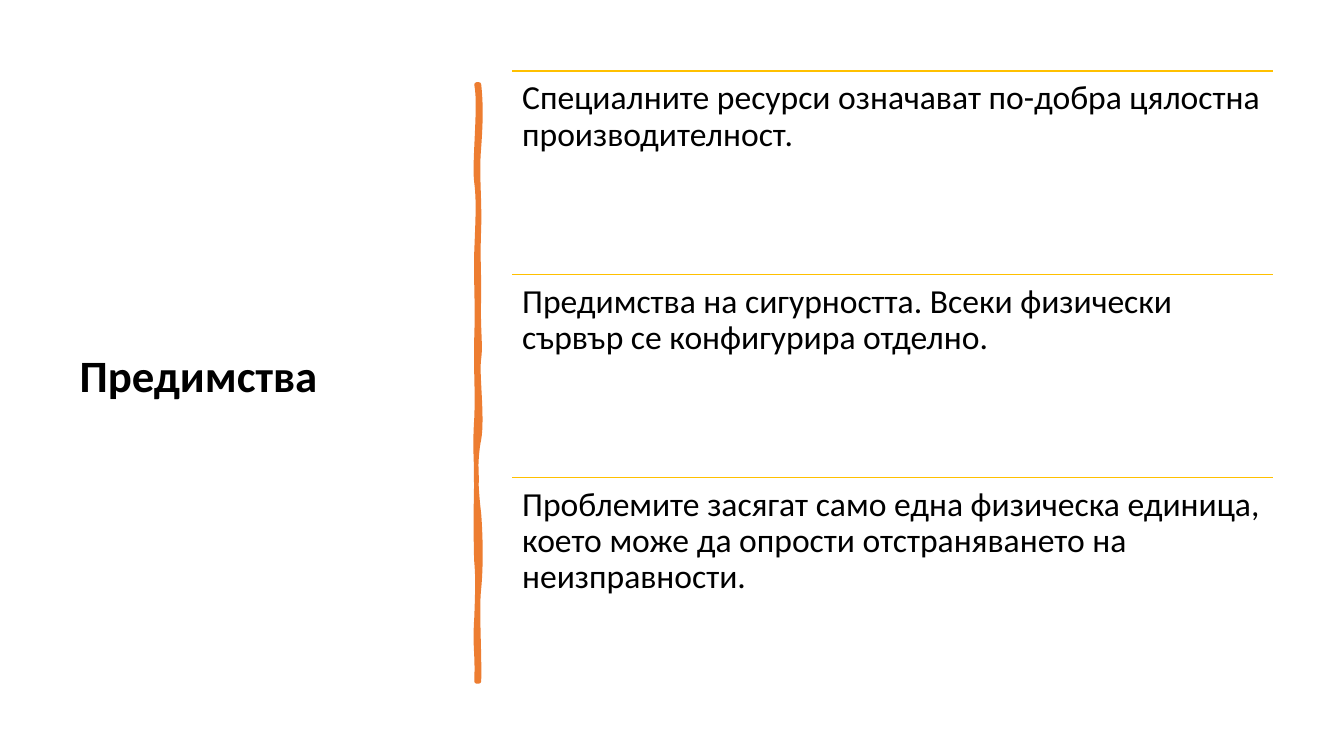
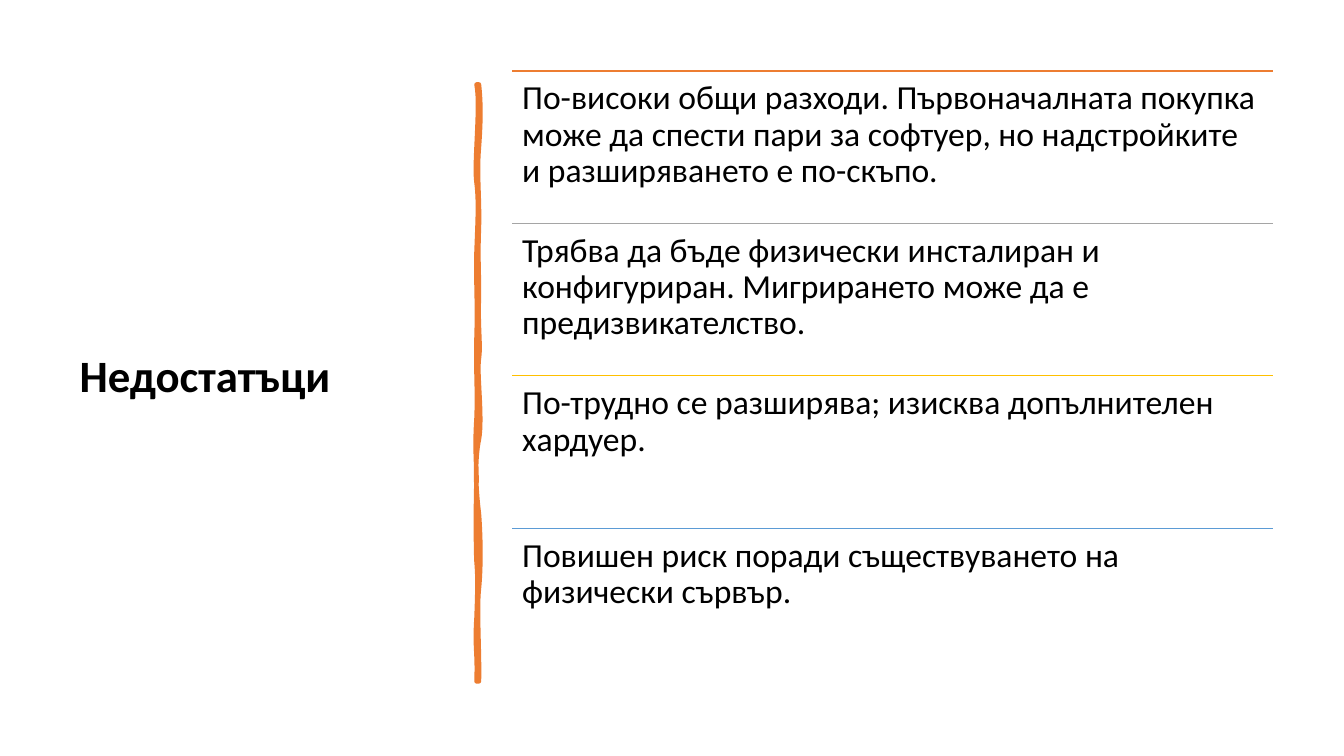
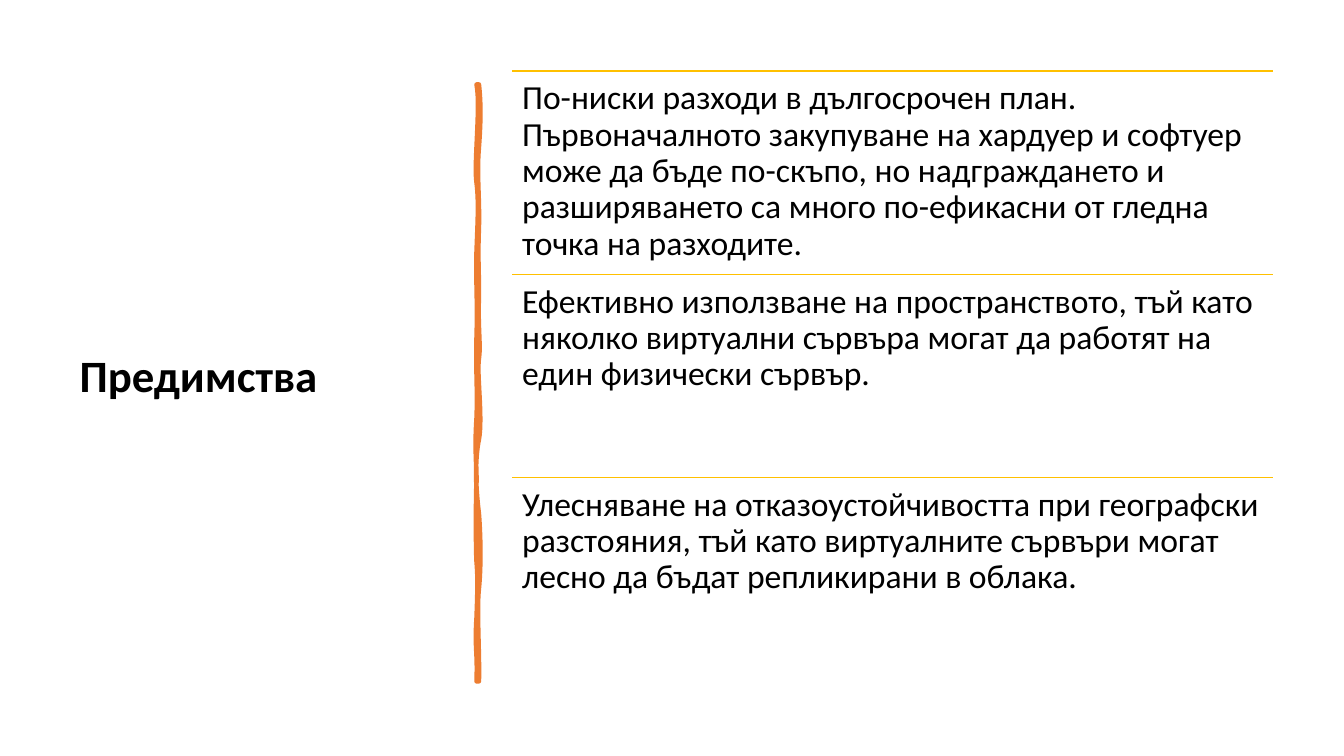
from lxml.etree import SubElement
from pptx import Presentation
from pptx.dml.color import RGBColor
from pptx.enum.shapes import MSO_CONNECTOR
from pptx.enum.text import MSO_ANCHOR as Anchor
from pptx.oxml.ns import qn
from pptx.util import Cm, Pt

BLACK = RGBColor(0x00, 0x00, 0x00)
ORANGE = RGBColor(0xED, 0x7D, 0x31)
GRAY = RGBColor(0xA5, 0xA5, 0xA5)
GOLD = RGBColor(0xFF, 0xC0, 0x00)
BLUE = RGBColor(0x5B, 0x9B, 0xD5)

FONT = "Calibri"
BLANK_LAYOUT = 6
INSET = 0.25

LIST_LEFT, LIST_TOP = 12.91, 1.79
LIST_WIDTH, LIST_HEIGHT = 19.18, 15.36

# Edges of the brush stroke in cm: two control points and an end per curve.
STROKE_START = (12.07, 2.13)
RIGHT_EDGE = [
    ((12.12, 2.59), (12.12, 3.02), (12.07, 3.71)),
    ((12.01, 4.39), (12.09, 4.95), (12.07, 5.74)),
    ((12.04, 6.53), (12.07, 6.65), (12.07, 7.47)),
    ((12.04, 8.26), (12.12, 8.69), (12.07, 9.04)),
    ((12.01, 9.4), (12.17, 10.52), (12.07, 11.07)),
    ((11.96, 11.61), (11.99, 12.29), (12.07, 12.95)),
    ((12.12, 13.61), (12.12, 14.33), (12.07, 14.83)),
    ((12.01, 15.32), (12.09, 16.51), (12.07, 17.17)),
]
BOTTOM_EDGE = [((12.04, 17.17), (12.01, 17.17), (12.01, 17.17))]
LEFT_EDGE = [
    ((12.04, 16.41), (11.96, 16.36), (12.01, 15.57)),
    ((12.04, 14.81), (12.04, 14.48), (12.01, 14.15)),
    ((11.99, 13.82), (11.99, 12.57), (12.01, 12.12)),
    ((12.01, 11.66), (11.96, 11.3), (12.01, 10.54)),
    ((12.04, 9.8), (11.99, 9.47), (12.01, 8.51)),
    ((12.04, 7.57), (11.99, 7.14), (12.01, 6.35)),
    ((12.04, 5.54), (12.07, 5.08), (12.01, 4.6)),
    ((11.94, 4.14), (12.12, 2.64), (12.01, 2.13)),
]
STROKE_CURVES = RIGHT_EDGE + BOTTOM_EDGE + LEFT_EDGE

SLIDES = [
    ("Предимства", [
        (GOLD, "Специалните ресурси означават по-добра цялостна производителност."),
        (GOLD, "Предимства на сигурността. Всеки физически сървър се конфигурира "
               "отделно."),
        (GOLD, "Проблемите засягат само една физическа единица, което може да "
               "опрости отстраняването на неизправности."),
    ]),
    ("Недостатъци", [
        (ORANGE, "По-високи общи разходи. Първоначалната покупка може да спести "
                 "пари за софтуер, но надстройките и разширяването е по-скъпо."),
        (GRAY, "Трябва да бъде физически инсталиран и конфигуриран. Мигрирането "
               "може да е предизвикателство."),
        (GOLD, "По-трудно се разширява; изисква допълнителен хардуер."),
        (BLUE, "Повишен риск поради съществуването на физически сървър."),
    ]),
    ("Предимства", [
        (GOLD, "По-ниски разходи в дългосрочен план. Първоначалното закупуване на "
               "хардуер и софтуер може да бъде по-скъпо, но надграждането и "
               "разширяването са много по-ефикасни от гледна точка на разходите."),
        (GOLD, "Ефективно използване на пространството, тъй като няколко виртуални "
               "сървъра могат да работят на един физически сървър."),
        (GOLD, "Улесняване на отказоустойчивостта при географски разстояния, тъй "
               "като виртуалните сървъри могат лесно да бъдат репликирани в облака."),
    ]),
]


def write_text(frame, text, size=24, bold=False, color=BLACK, anchor=Anchor.TOP):
    frame.word_wrap = True
    frame.vertical_anchor = anchor
    frame.margin_left = frame.margin_right = Cm(INSET)
    frame.margin_top = frame.margin_bottom = Cm(INSET)
    paragraph = frame.paragraphs[0]
    paragraph.line_spacing = 0.9
    run = paragraph.add_run()
    run.text = text
    run.font.name = FONT
    run.font.size = Pt(size)
    run.font.bold = bold
    run.font.color.rgb = color


def bend_segments(shape, curves):
    """Turn the straight segments of a freeform into cubic Bezier curves."""
    segments = list(shape._element.iter(qn("a:lnTo")))
    for segment, (first, second, _) in zip(segments, curves):
        segment.tag = qn("a:cubicBezTo")
        for position, (x, y) in enumerate((first, second)):
            point = SubElement(segment, qn("a:pt"))
            point.set("x", str(Cm(x) - shape.left))
            point.set("y", str(Cm(y) - shape.top))
            segment.insert(position, point)


class Deck:
    def __init__(self):
        self.presentation = Presentation()
        self.presentation.slide_width = Cm(33.87)
        self.presentation.slide_height = Cm(19.05)
        self.slide = None

    def add_slide(self):
        layout = self.presentation.slide_layouts[BLANK_LAYOUT]
        self.slide = self.presentation.slides.add_slide(layout)

    def text(self, text, left, top, width, height, **style):
        box = self.slide.shapes.add_textbox(Cm(left), Cm(top), Cm(width), Cm(height))
        write_text(box.text_frame, text, **style)

    def title(self, text):
        self.text(text, 1.76, 1.76, 9.5, 15.52, size=32, bold=True,
                  anchor=Anchor.MIDDLE)

    def brush_stroke(self):
        x, y = STROKE_START
        builder = self.slide.shapes.build_freeform(Cm(x), Cm(y))
        builder.add_line_segments(
            [(Cm(x), Cm(y)) for _, _, (x, y) in STROKE_CURVES], close=True)
        shape = builder.convert_to_shape()
        bend_segments(shape, STROKE_CURVES)
        shape.shadow.inherit = False
        shape.fill.solid()
        shape.fill.fore_color.rgb = ORANGE
        shape.line.color.rgb = ORANGE
        shape.line.width = Pt(3.25)
        SubElement(shape.line._get_or_add_ln(), qn("a:round"))

    def rule(self, top, color):
        line = self.slide.shapes.add_connector(
            MSO_CONNECTOR.STRAIGHT, Cm(LIST_LEFT), Cm(top),
            Cm(LIST_LEFT + LIST_WIDTH), Cm(top))
        line.line.color.rgb = color
        line.line.width = Pt(1)
        SubElement(line._element.spPr, qn("a:effectLst"))

    def ruled_list(self, items):
        row_height = LIST_HEIGHT / len(items)
        for index, (color, text) in enumerate(items):
            top = LIST_TOP + index * row_height
            self.rule(top, color)
            self.text(text, LIST_LEFT, top, LIST_WIDTH, row_height)


def main():
    deck = Deck()
    for title, items in SLIDES:
        deck.add_slide()
        deck.title(title)
        deck.brush_stroke()
        deck.ruled_list(items)
    deck.presentation.save("out.pptx")


if __name__ == "__main__":
    main()
